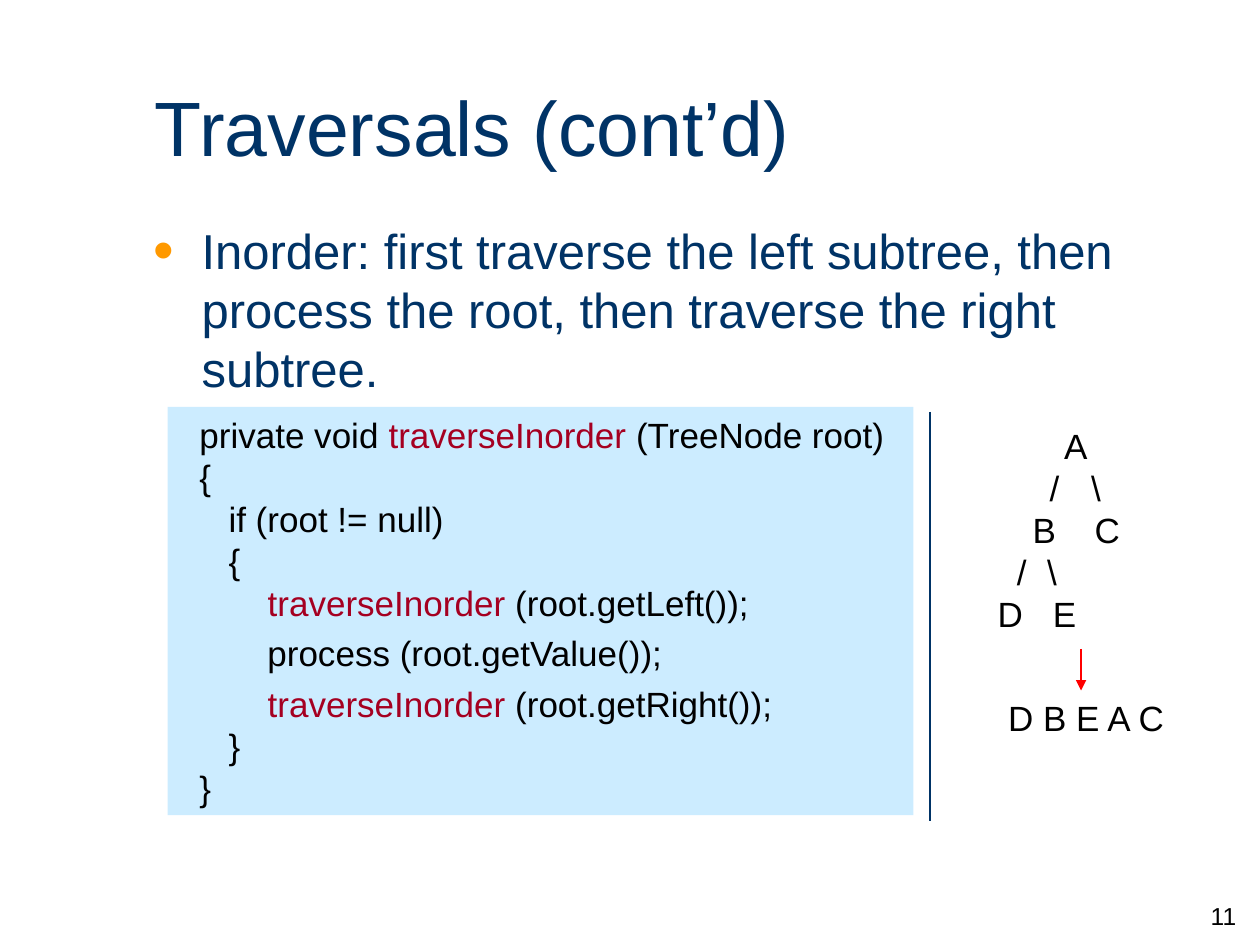
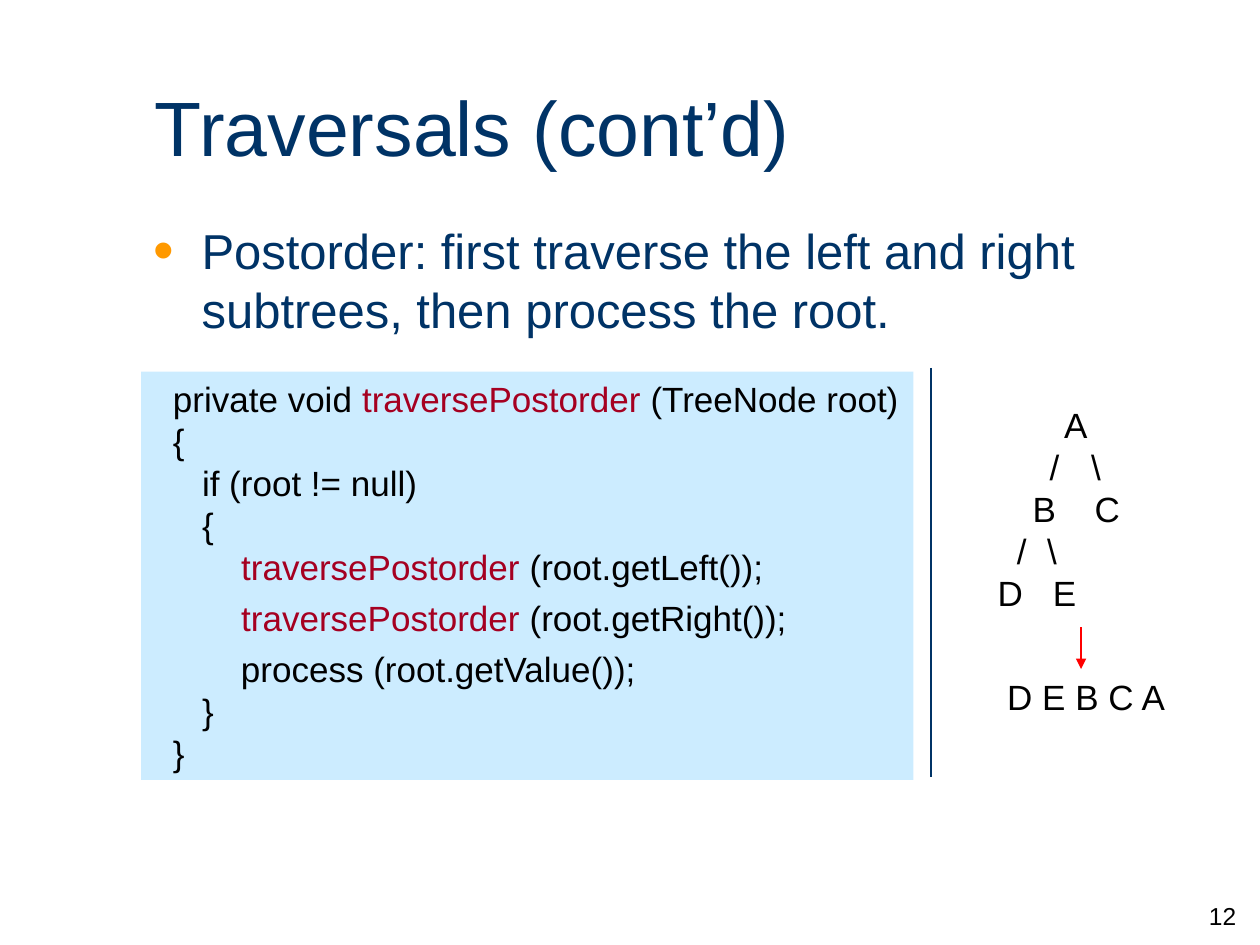
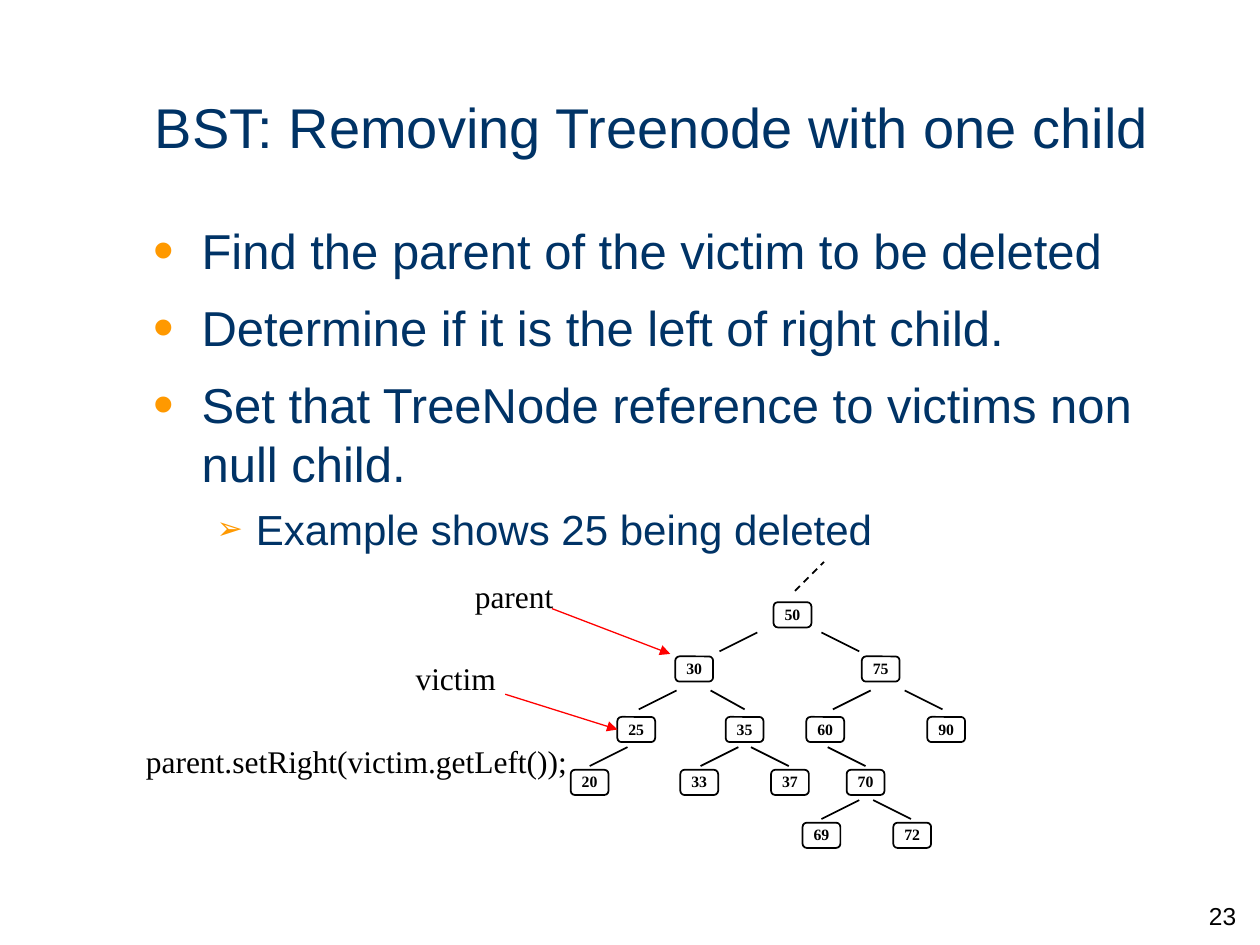
from lxml import etree
from pptx import Presentation
from pptx.dml.color import RGBColor
from pptx.enum import dml, shapes, text
from pptx.oxml import ns
from pptx.util import Inches, Pt

NAVY = RGBColor(0x00, 0x33, 0x66)
ORANGE = RGBColor(0xFF, 0x99, 0x00)
CRIMSON = RGBColor(0xA5, 0x00, 0x21)
RED = RGBColor(0xFF, 0x00, 0x00)
PALE_BLUE = RGBColor(0xCC, 0xEC, 0xFF)
BLACK = RGBColor(0x00, 0x00, 0x00)
SANS, SERIF = "Arial", "Times New Roman"
LEFT, CENTER, RIGHT = (text.PP_ALIGN.LEFT, text.PP_ALIGN.CENTER,
                       text.PP_ALIGN.RIGHT)

# Per list level: left margin, hanging indent, mark, mark size, text size, gap
LIST_LEVELS = [(0.38, 0.38, "•", 120, 28, 10.5),
               (0.81, 0.31, "➢", 75, 24, 6)]


def set_values(target, values):
    for key, value in values.items():
        setattr(target, key, value)


def add_element(parent, tag, **attributes):
    element = etree.SubElement(parent, ns.qn(tag))
    for key, value in attributes.items():
        element.set(key, str(value))
    return element


class Deck:
    """Holds the shared style and the slide being built."""

    def __init__(self):
        self.prs = Presentation()
        self.prs.slide_width, self.prs.slide_height = Inches(10), Inches(7.5)
        self.slide = None

    def place(self, shape, box):
        names = ("left", "top", "width", "height")
        set_values(shape, dict(zip(names, map(Inches, box))))

    def frame(self, shape, inset=(0.1, 0.05), wrap=True,
              anchor=text.MSO_ANCHOR.TOP):
        across, down = map(Inches, inset)
        frame = shape.text_frame
        set_values(frame, {
            "margin_left": across, "margin_right": across,
            "margin_top": down, "margin_bottom": down,
            "word_wrap": wrap, "vertical_anchor": anchor,
            "auto_size": text.MSO_AUTO_SIZE.NONE})
        return frame

    def run(self, paragraph, words, size, color=BLACK, font=SANS, bold=False):
        run = paragraph.add_run()
        run.text = words
        set_values(run.font, {"size": Pt(size), "name": font, "bold": bold})
        run.font.color.rgb = color

    def paragraphs(self, frame, items):
        """Yield a paragraph with each item."""
        for number, item in enumerate(items):
            yield frame.add_paragraph() if number else frame.paragraphs[0], item

    # Shared slide parts
    def new_slide(self, heading, points, number, heading_size=44):
        self.slide = self.prs.slides.add_slide(self.prs.slide_layouts[1])
        title, body = self.slide.placeholders
        self.place(title, (1.13, 0.53, 8.5, 0.94))
        frame = self.frame(title, anchor=text.MSO_ANCHOR.MIDDLE)
        frame.paragraphs[0].alignment = LEFT
        self.run(frame.paragraphs[0], heading, heading_size, NAVY)
        self.place(body, (1.12, 1.7, 8.5, 5.25))
        self.bullets(self.frame(body), points)
        self.label(str(number), (7.83, 7.1, 2.08, 0.5), 14, align=RIGHT)

    def bullets(self, frame, points):
        for paragraph, (level, words) in self.paragraphs(frame, points):
            margin, hang, mark, percent, size, gap = LIST_LEVELS[level]
            first = paragraph is frame.paragraphs[0] or words == points[0][1]
            props = paragraph._p.get_or_add_pPr()
            props.set("marL", str(Inches(margin)))
            props.set("indent", str(-Inches(hang)))
            color = add_element(props, "a:buClr")
            add_element(color, "a:srgbClr", val=ORANGE)
            add_element(props, "a:buSzPct", val=percent * 1000)
            add_element(props, "a:buFont", typeface=SANS)
            add_element(props, "a:buChar", char=mark)
            set_values(paragraph, {"level": level,
                                   "space_before": Pt(0 if first else gap)})
            self.run(paragraph, words, size, NAVY)

    # Elements
    def label(self, words, box, size, font=SANS, align=LEFT):
        holder = self.slide.shapes.add_textbox(*map(Inches, box))
        paragraph = self.frame(holder).paragraphs[0]
        paragraph.alignment = align
        self.run(paragraph, words, size, font=font)

    def line(self, start, end, color=BLACK, width=1, arrow=False, dashed=False):
        line = self.slide.shapes.add_connector(
            shapes.MSO_CONNECTOR.STRAIGHT, *map(Inches, start + end))
        line.line.color.rgb = color
        line.line.width = Pt(width)
        if dashed:
            line.line.dash_style = dml.MSO_LINE.DASH
        if arrow:
            add_element(line.line._get_or_add_ln(), "a:tailEnd",
                        type="triangle")
        add_element(line._element.spPr, "a:effectLst")
        return line

    def arrow(self, start, end):
        return self.line(start, end, RED, 0.75, arrow=True)

    def code_box(self, lines, highlight, box):
        """Lines are (code, space before); the highlighted word is crimson."""
        panel = self.slide.shapes.add_shape(
            shapes.MSO_SHAPE.RECTANGLE, *map(Inches, box))
        panel.shadow.inherit = False
        panel.fill.solid()
        panel.fill.fore_color.rgb = PALE_BLUE
        panel.line.fill.background()
        for paragraph, (code, gap) in self.paragraphs(self.frame(panel), lines):
            set_values(paragraph, {"alignment": LEFT, "space_before": Pt(gap)})
            colors = (BLACK, CRIMSON, BLACK)
            for part, color in zip(code.partition(highlight), colors):
                if part:
                    self.run(paragraph, part, 20, color)

    def text_tree(self, rows, box):
        """Each row lists (symbol, centre from the left text edge)."""
        holder = self.slide.shapes.add_textbox(*map(Inches, box))
        for paragraph, row in self.paragraphs(self.frame(holder), rows):
            stops = add_element(paragraph._p.get_or_add_pPr(), "a:tabLst")
            for _, centre in row:
                add_element(stops, "a:tab", pos=Inches(centre), algn="ctr")
            self.run(paragraph, "".join("\t" + symbol for symbol, _ in row), 20)

    def node(self, value, left, top):
        node = self.slide.shapes.add_shape(
            shapes.MSO_SHAPE.ROUNDED_RECTANGLE,
            *map(Inches, (left, top, 0.3, 0.2)))
        node.shadow.inherit = False
        node.fill.background()
        node.line.color.rgb = BLACK
        node.line.width = Pt(1)
        paragraph = self.frame(node, inset=(0.01, 0.01)).paragraphs[0]
        paragraph.alignment = CENTER
        self.run(paragraph, str(value), 9, font=SERIF, bold=True)
        return node


# Traversal slides
SAMPLE_TREE = [
    [("A", 0.69)],
    [("/", 0.52), ("\\", 0.85)],
    [("B", 0.44), ("C", 0.94)],
    [("/", 0.26), ("\\", 0.5)],
    [("D", 0.17), ("E", 0.6)],
]


def traversal_slide(deck, number, summary, method, steps, code_box,
                    divider, tree_top, order):
    deck.new_slide("Traversals (cont’d)", [(0, summary)], number)
    body = [(" " * 9 + step, 5 if i else 0) for i, step in enumerate(steps)]
    code = [(f"  private void {method} (TreeNode root)", 0), ("  {", 0),
            ("     if (root != null)", 0), ("     {", 0),
            *body, ("     }", 0), ("  }", 0)]
    deck.code_box(code, method, code_box)
    divider_x, divider_top = divider
    deck.line((divider_x, divider_top), (divider_x, divider_top + 3.25),
              NAVY, 1.5)
    deck.text_tree(SAMPLE_TREE, (7.75, tree_top, 1.58, 1.77))
    deck.arrow((8.58, tree_top + 1.83), (8.58, tree_top + 2.16))
    deck.label(order, (7.83, tree_top + 2.16, 1.58, 0.44), 20, align=CENTER)


# Removal slide: per depth, the node top and the top of the edges above it
DEPTHS = [(4.78, None), (5.21, 5.02), (5.69, 5.48), (6.11, 5.93), (6.53, 6.35)]
# Value, depth, left side, edge end at the parent, edge end at the node
SEARCH_TREE = [
    (50, 0, 6.14, None, None),
    (30, 1, 5.36, 6.01, 5.71), (75, 1, 6.84, 6.52, 6.82),
    (25, 2, 4.9, 5.37, 5.07), (35, 2, 5.76, 5.64, 5.91),
    (60, 2, 6.4, 6.91, 6.61), (90, 2, 7.36, 7.18, 7.48),
    (20, 3, 4.53, 4.98, 4.68), (33, 3, 5.4, 5.86, 5.56),
    (37, 3, 6.12, 5.96, 6.26), (70, 3, 6.72, 6.57, 6.87),
    (69, 4, 6.37, 6.82, 6.52), (72, 4, 7.09, 6.93, 7.23),
]


def removal_slide(deck):
    deck.new_slide("BST: Removing Treenode with one child", [
        (0, "Find the parent of the victim to be deleted"),
        (0, "Determine if it is the left of right child."),
        (0, "Set that TreeNode reference to victims non null child."),
        (1, "Example shows 25 being deleted"),
    ], 23, heading_size=32)
    nodes = {}
    for value, depth, left, parent_x, node_x in SEARCH_TREE:
        top, edge_top = DEPTHS[depth]
        nodes[value] = deck.node(value, left, top)
        if edge_top:
            deck.line((node_x, edge_top + 0.15), (parent_x, edge_top))
    deck.line((6.31, 4.69), (6.54, 4.46), dashed=True)
    # Callouts
    deck.arrow((4.38, 4.83), (5.32, 5.19))
    deck.arrow((4.01, 5.51), (4.9, 5.79)).end_connect(nodes[25], 1)
    for words, box in [
            ("parent", (3.67, 4.53, 1.04, 0.4)),
            ("victim", (3.2, 5.18, 1.04, 0.4)),
            ("parent.setRight(victim.getLeft());", (1.06, 5.84, 3.66, 0.4))]:
        deck.label(words, box, 18, SERIF)


def main():
    deck = Deck()
    traversal_slide(
        deck, 11, "Inorder: first traverse the left subtree, then process "
        "the root, then traverse the right subtree.", "traverseInorder",
        ["traverseInorder (root.getLeft());", "process (root.getValue());",
         "traverseInorder (root.getRight());"],
        (1.33, 3.23, 5.92, 3.24), (7.38, 3.27), 3.32, "D B E A C")
    traversal_slide(
        deck, 12, "Postorder: first traverse the left and right subtrees, "
        "then process the root.", "traversePostorder",
        ["traversePostorder (root.getLeft());",
         "traversePostorder (root.getRight());", "process (root.getValue());"],
        (1.12, 2.95, 6.13, 3.24), (7.39, 2.92), 3.15, "D E B C A")
    removal_slide(deck)
    deck.prs.save("out.pptx")


if __name__ == "__main__":
    main()
